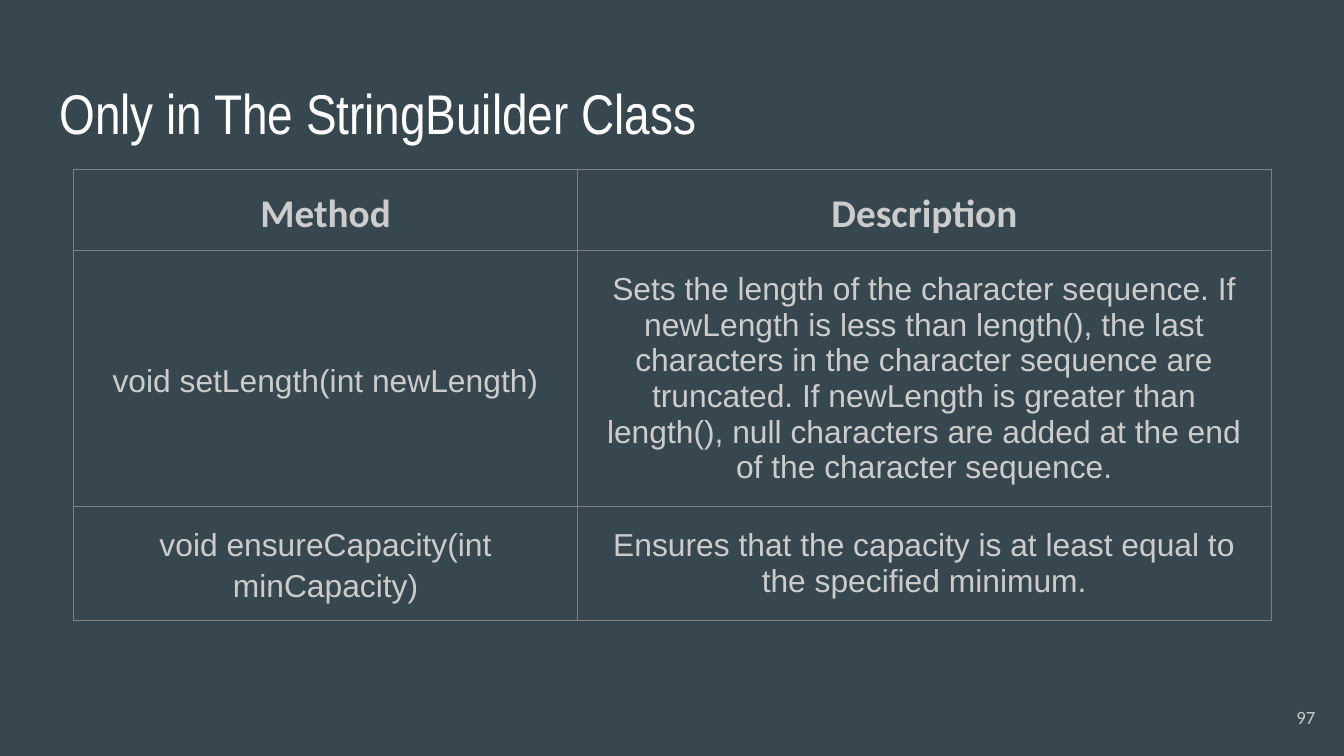
from dataclasses import dataclass

from lxml import etree
from pptx import Presentation
from pptx.dml.color import RGBColor
from pptx.enum import text
from pptx.oxml import ns
from pptx.util import Inches, Pt


@dataclass(frozen=True)
class Theme:
    background: str = "37474F"
    title_color: str = "FFFFFF"
    table_color: str = "CCCCCC"
    number_color: str = "CACACA"
    border_color: str = "808080"
    border_width: float = 0.75
    title_font: str = "Arial Narrow"
    heading_font: str = "Calibri"
    body_font: str = "Arial"
    title_size: int = 30
    heading_size: int = 21
    body_size: int = 17
    number_size: int = 10
    inset: float = 0.1


THEME = Theme()
WIDTH = Inches(10)
HEIGHT = WIDTH * 9 // 16
GRID_COLUMNS = 100
UNIT = WIDTH // GRID_COLUMNS
COLUMN_UNITS = (37.5, 51.6)
ROW_UNITS = (5.1, 6.1, 6.1)
METHOD_ROWS = (
    ("Method", "Description"),
    (
        "void setLength(int newLength)",
        "Sets the length of the character sequence. If newLength is less than "
        "length(), the last characters in the character sequence are truncated. "
        "If newLength is greater than length(), null characters are added at "
        "the end of the character sequence.",
    ),
    (
        "void ensureCapacity(int minCapacity)",
        "Ensures that the capacity is at least equal to the specified minimum.",
    ),
)


def place(*units):
    return tuple(round(unit * UNIT) for unit in units)


def set_margins(holder):
    for side in ("left", "top", "right", "bottom"):
        setattr(holder, f"margin_{side}", Inches(THEME.inset))


def style_paragraph(paragraph, font_name, size, color, alignment, bold=False):
    paragraph.alignment = alignment
    for run in paragraph.runs:
        run.font.name = font_name
        run.font.size = Pt(size)
        run.font.bold = bold
        run.font.color.rgb = RGBColor.from_string(color)


def add_label(slide, box, words, font_name, size, color, alignment, anchor):
    frame = slide.shapes.add_textbox(*box).text_frame
    frame.word_wrap = True
    frame.vertical_anchor = anchor
    set_margins(frame)
    frame.text = words
    style_paragraph(frame.paragraphs[0], font_name, size, color, alignment)


def add_title(slide, box):
    add_label(slide, box, "Only in The StringBuilder Class", THEME.title_font,
              THEME.title_size, THEME.title_color, text.PP_ALIGN.LEFT,
              text.MSO_ANCHOR.TOP)


def add_slide_number(slide, box):
    add_label(slide, box, "97", THEME.heading_font, THEME.number_size,
              THEME.number_color, text.PP_ALIGN.RIGHT, text.MSO_ANCHOR.MIDDLE)


def add_borders(cell):
    properties = cell._tc.get_or_add_tcPr()
    for position, side in enumerate(("lnL", "lnR", "lnT", "lnB")):
        line = etree.Element(ns.qn(f"a:{side}"), w=str(Pt(THEME.border_width)))
        fill = etree.SubElement(line, ns.qn("a:solidFill"))
        etree.SubElement(fill, ns.qn("a:srgbClr"), val=THEME.border_color)
        properties.insert(position, line)


def fill_cell(cell, words, is_heading, is_method):
    cell.text = words
    cell.fill.background()
    cell.vertical_anchor = text.MSO_ANCHOR.MIDDLE
    set_margins(cell)
    add_borders(cell)
    paragraph = cell.text_frame.paragraphs[0]
    paragraph.line_spacing = 1.15 if is_heading or is_method else 1.0
    style_paragraph(
        paragraph,
        THEME.heading_font if is_heading else THEME.body_font,
        THEME.heading_size if is_heading else THEME.body_size,
        THEME.table_color, text.PP_ALIGN.CENTER, is_heading,
    )


def add_method_table(slide, box):
    table = slide.shapes.add_table(len(METHOD_ROWS), len(COLUMN_UNITS), *box).table
    table.horz_banding = False
    for column, units in zip(table.columns, COLUMN_UNITS):
        column.width = round(box[2] * units / sum(COLUMN_UNITS))
    for row, units in zip(table.rows, ROW_UNITS):
        row.height = round(box[3] * units / sum(ROW_UNITS))
    for row_index, row in enumerate(METHOD_ROWS):
        for column_index, words in enumerate(row):
            fill_cell(table.cell(row_index, column_index), words,
                      row_index == 0, column_index == 0)


def main():
    presentation = Presentation()
    presentation.slide_width, presentation.slide_height = WIDTH, HEIGHT
    slide = presentation.slides.add_slide(presentation.slide_layouts[6])
    slide.background.fill.solid()
    slide.background.fill.fore_color.rgb = RGBColor.from_string(THEME.background)
    add_title(slide, place(3.45, 4.85, 93.2, 6.3))
    add_slide_number(slide, place(92.85, 51.2, 6, 4.3))
    add_method_table(slide, place(5.48, 12.63, sum(COLUMN_UNITS), sum(ROW_UNITS)))
    presentation.save("out.pptx")


if __name__ == "__main__":
    main()
